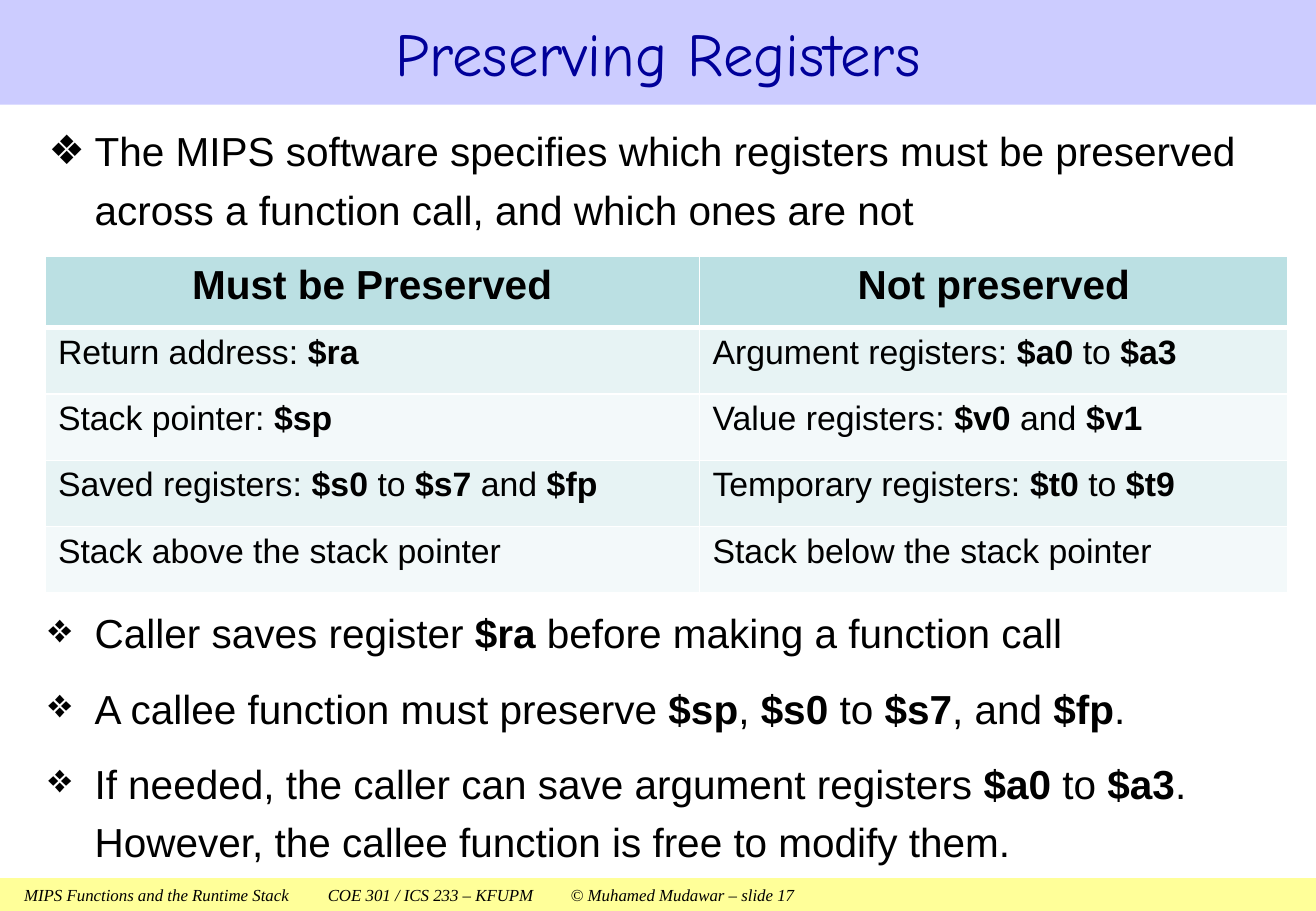
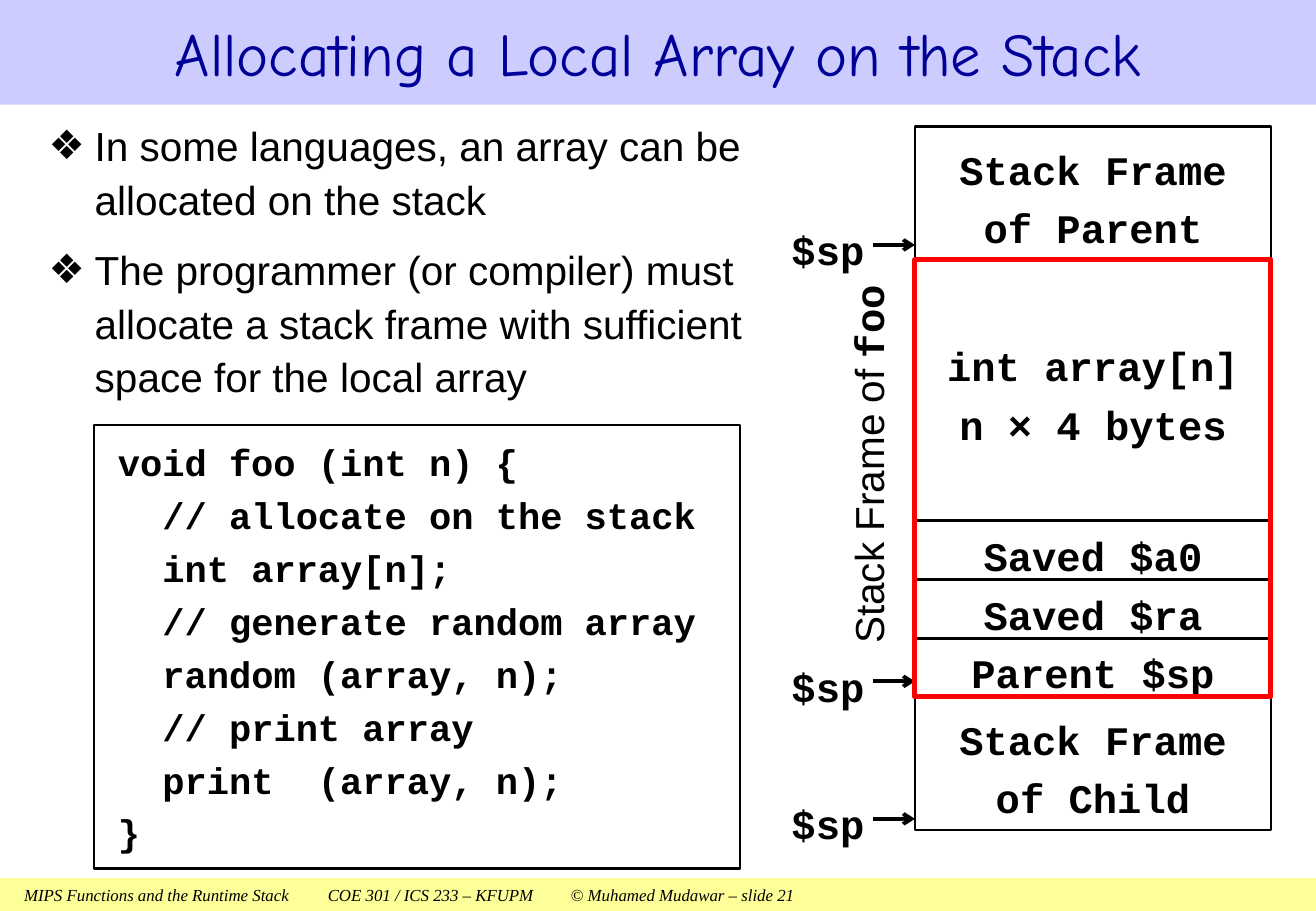
from lxml.etree import SubElement
from pptx import Presentation
from pptx.dml.color import RGBColor
from pptx.enum.shapes import MSO_CONNECTOR, MSO_SHAPE
from pptx.enum.text import MSO_ANCHOR, MSO_AUTO_SIZE, PP_ALIGN
from pptx.oxml.ns import qn
from pptx.util import Pt

WIDTH, HEIGHT = 780, 540
SANS, MONO, SERIF, HAND = "Arial", "Courier New", "Times New Roman", "Comic Neue"
BLACK, WHITE, RED = "000000", "FFFFFF", "FF0000"
NAVY, LAVENDER, YELLOW = "000099", "CCCCFF", "FFFF99"
HEADER_FILL, BAND_FILLS = "BBE0E3", ("E7F3F4", "F3F9FA")


def rgb(value):
    return RGBColor.from_string(value)


class SlideBuilder:
    def __init__(self):
        self.deck = Presentation()
        self.deck.slide_width, self.deck.slide_height = Pt(WIDTH), Pt(HEIGHT)
        self.page = None

    def start(self, title, number):
        self.page = self.deck.slides.add_slide(self.deck.slide_layouts[1])
        band = self.place(self.page.shapes.title, 0, 0, WIDTH, 62)
        self.fill(band, LAVENDER)
        self.frame(band, MSO_ANCHOR.MIDDLE)
        self.style_text(band.text_frame.paragraphs[0], title, 36, HAND, NAVY,
                        align=PP_ALIGN.CENTER)
        self.footer(number)

    def footer(self, number):
        band = self.rectangle(0, 520.5, WIDTH, 19.5)
        self.fill(band, YELLOW)
        self.frame(band, MSO_ANCHOR.MIDDLE)
        para = band.text_frame.paragraphs[0]
        parts = ("MIPS Functions and the Runtime Stack", "COE 301 / ICS 233 – KFUPM",
                 f"© Muhamed Mudawar – slide {number}")
        self.style_text(para, "\t".join(parts), 10, SERIF)
        para.runs[0].font.italic = True
        self.indent(para, 7.2)
        tabs = SubElement(para._p.get_or_add_pPr(), qn("a:tabLst"))
        for position, kind in ((381.6, "ctr"), (762.5, "r")):
            SubElement(tabs, qn("a:tab"), pos=str(Pt(position)), algn=kind)

    def place(self, shape, left, top, width, height):
        shape.left, shape.top = Pt(left), Pt(top)
        shape.width, shape.height = Pt(width), Pt(height)
        return shape

    def fill(self, shape, color):
        shape.fill.solid()
        shape.fill.fore_color.rgb = rgb(color)

    def frame(self, shape, anchor, wrap=True, margins=(7.2, 3.6)):
        frame = shape.text_frame
        frame.auto_size = MSO_AUTO_SIZE.NONE
        frame.word_wrap = wrap
        frame.vertical_anchor = anchor
        frame.margin_left = frame.margin_right = Pt(margins[0])
        frame.margin_top = frame.margin_bottom = Pt(margins[1])

    def style_text(self, para, text, size, font=SANS, color=BLACK, bold=False,
                   align=PP_ALIGN.LEFT, strong_font=None):
        para.alignment = align
        for index, part in enumerate(text.split("*")):
            if not part:
                continue
            strong = index % 2 == 1
            span = para.add_run()
            span.text = part
            span.font.name = strong_font if strong and strong_font else font
            span.font.size = Pt(size)
            span.font.bold = bold or strong
            span.font.color.rgb = rgb(color)

    def indent(self, para, left, first=0):
        properties = para._p.get_or_add_pPr()
        properties.set("marL", str(Pt(left)))
        properties.set("indent", str(Pt(first)))

    def paragraphs(self, frame, count):
        while len(frame.paragraphs) < count:
            frame.add_paragraph()
        return frame.paragraphs

    def rectangle(self, left, top, width, height, line=None, weight=1.5):
        box = self.page.shapes.add_shape(
            MSO_SHAPE.RECTANGLE, Pt(left), Pt(top), Pt(width), Pt(height))
        box.shadow.inherit = False
        box.fill.background()
        if line:
            box.line.color.rgb = rgb(line)
            box.line.width = Pt(weight)
        else:
            box.line.fill.background()
        return box

    def textbox(self, *bounds):
        return self.page.shapes.add_textbox(*map(Pt, bounds))

    def body(self, *bounds):
        return self.place(self.page.placeholders[1], *bounds)

    def bullets(self, box, items, spacing):
        self.frame(box, MSO_ANCHOR.TOP)
        for para, item in zip(self.paragraphs(box.text_frame, len(items)), items):
            self.style_text(para, item, 24)
            para.line_spacing = spacing
            para.space_before = Pt(10)
            self.indent(para, 27.36, -27.36)
            SubElement(para._p.get_or_add_pPr(), qn("a:buChar"), char="❖")

    def label(self, box, lines, font=MONO, bold=True, strong_font=None):
        self.frame(box, MSO_ANCHOR.MIDDLE, wrap=False, margins=(0, 0))
        for para, line in zip(self.paragraphs(box.text_frame, len(lines)), lines):
            self.style_text(para, line, 24, font, bold=bold, align=PP_ALIGN.CENTER,
                            strong_font=strong_font)
            para.line_spacing = 1.2

    def code(self, box, lines):
        self.frame(box, MSO_ANCHOR.MIDDLE, margins=(7.2, 5.76))
        for para, (depth, line) in zip(self.paragraphs(box.text_frame, len(lines)), lines):
            self.style_text(para, line, 22, MONO, bold=True)
            para.space_before = Pt(5)
            self.indent(para, 7.2 + 26.4 * depth)

    def arrow(self, start, end, y):
        line = self.page.shapes.add_connector(
            MSO_CONNECTOR.STRAIGHT, Pt(start), Pt(y), Pt(end), Pt(y))
        line.line.color.rgb = rgb(BLACK)
        line.line.width = Pt(2.25)
        SubElement(line.line._get_or_add_ln(), qn("a:tailEnd"), type="arrow")
        SubElement(line._element.spPr, qn("a:effectLst"))

    def border(self, cell, side, weight):
        line = SubElement(cell._tc.get_or_add_tcPr(), qn(f"a:ln{side}"), w=str(Pt(weight)))
        solid = SubElement(line, qn("a:solidFill"))
        SubElement(solid, qn("a:srgbClr"), val=WHITE)

    def table(self, left, top, widths, heights, rows):
        table = self.page.shapes.add_table(
            len(rows), len(widths), Pt(left), Pt(top),
            Pt(sum(widths)), Pt(sum(heights))).table
        table.first_row = table.horz_banding = False
        for column, width in zip(table.columns, widths):
            column.width = Pt(width)
        for index, (texts, height) in enumerate(zip(rows, heights)):
            table.rows[index].height = Pt(height)
            header = index == 0
            for cell, text in zip(table.rows[index].cells, texts):
                cell.margin_left = cell.margin_right = Pt(7.8)
                cell.margin_top = cell.margin_bottom = Pt(3.6)
                for side in "LRTB":
                    thick = (index, side) in ((0, "B"), (1, "T"))
                    self.border(cell, side, 3 if thick else 1)
                self.fill(cell, HEADER_FILL if header else BAND_FILLS[(index - 1) % 2])
                self.style_text(cell.text_frame.paragraphs[0], text, 24 if header else 20,
                                bold=header,
                                align=PP_ALIGN.CENTER if header else PP_ALIGN.LEFT)


def preserving_registers(builder):
    builder.start("Preserving Registers", 17)
    builder.bullets(builder.body(21.6, 65.5, 746.5, 77), [
        "The MIPS software specifies which registers must be preserved "
        "across a function call, and which ones are not",
    ], 1.2)
    builder.table(26.6, 152.2, (388, 349), (42, 39.35, 39.35, 39.35, 39.35), [
        ("Must be Preserved", "Not preserved"),
        ("Return address: *$ra*", "Argument registers: *$a0* to *$a3*"),
        ("Stack pointer: *$sp*", "Value registers: *$v0* and *$v1*"),
        ("Saved registers: *$s0* to *$s7* and *$fp*", "Temporary registers: *$t0* to *$t9*"),
        ("Stack above the stack pointer", "Stack below the stack pointer"),
    ])
    builder.bullets(builder.textbox(21.6, 351.4, 746.5, 163.5), [
        "Caller saves register *$ra* before making a function call",
        "A callee function must preserve *$sp*, *$s0* to *$s7*, and *$fp*.",
        "If needed, the caller can save argument registers *$a0* to *$a3*. "
        "However, the callee function is free to modify them.",
    ], 1.2)


def local_array(builder):
    builder.start("Allocating a Local Array on the Stack", 21)
    builder.bullets(builder.body(21.6, 65.5, 437, 181.5), [
        "In some languages, an array can be allocated on the stack",
        "The programmer (or compiler) must allocate a stack frame with "
        "sufficient space for the local array",
    ], 1.1)
    builder.code(builder.rectangle(55.6, 252, 383, 262.8, BLACK), [
        (0, "void foo (int n) {"),
        (1, "// allocate on the stack"),
        (1, "int array[n];"),
        (1, "// generate random array"),
        (1, "random (array, n);"),
        (1, "// print array"),
        (1, "print  (array, n);"),
        (0, "}"),
    ])
    stack_left, stack_width, top = 542.3, 211, 75
    for height, lines in (
        (79, ["Stack Frame", "of Parent"]),
        (154.5, ["int array[n]", "n × 4 bytes"]),
        (35, ["Saved $a0"]),
        (35, ["Saved $ra"]),
        (34.5, ["Parent $sp"]),
        (79, ["Stack Frame", "of Child"]),
    ):
        builder.label(builder.rectangle(stack_left, top, stack_width, height, BLACK), lines)
        top += height
    for pointer in (145.2, 403.9, 485.4):
        builder.arrow(517.7, stack_left, pointer)
        builder.label(builder.textbox(463.7, pointer - 20.5, 54, 41), ["$sp"])
    builder.rectangle(stack_left, 154, stack_width, 259, RED, 3)
    frame_name = builder.textbox(390.2, 244.8, 242.6, 61.2)
    frame_name.rotation = 270
    builder.label(frame_name, ["Stack Frame of *foo*"], SANS, False, MONO)


def main():
    builder = SlideBuilder()
    preserving_registers(builder)
    local_array(builder)
    builder.deck.save("out.pptx")


if __name__ == "__main__":
    main()
